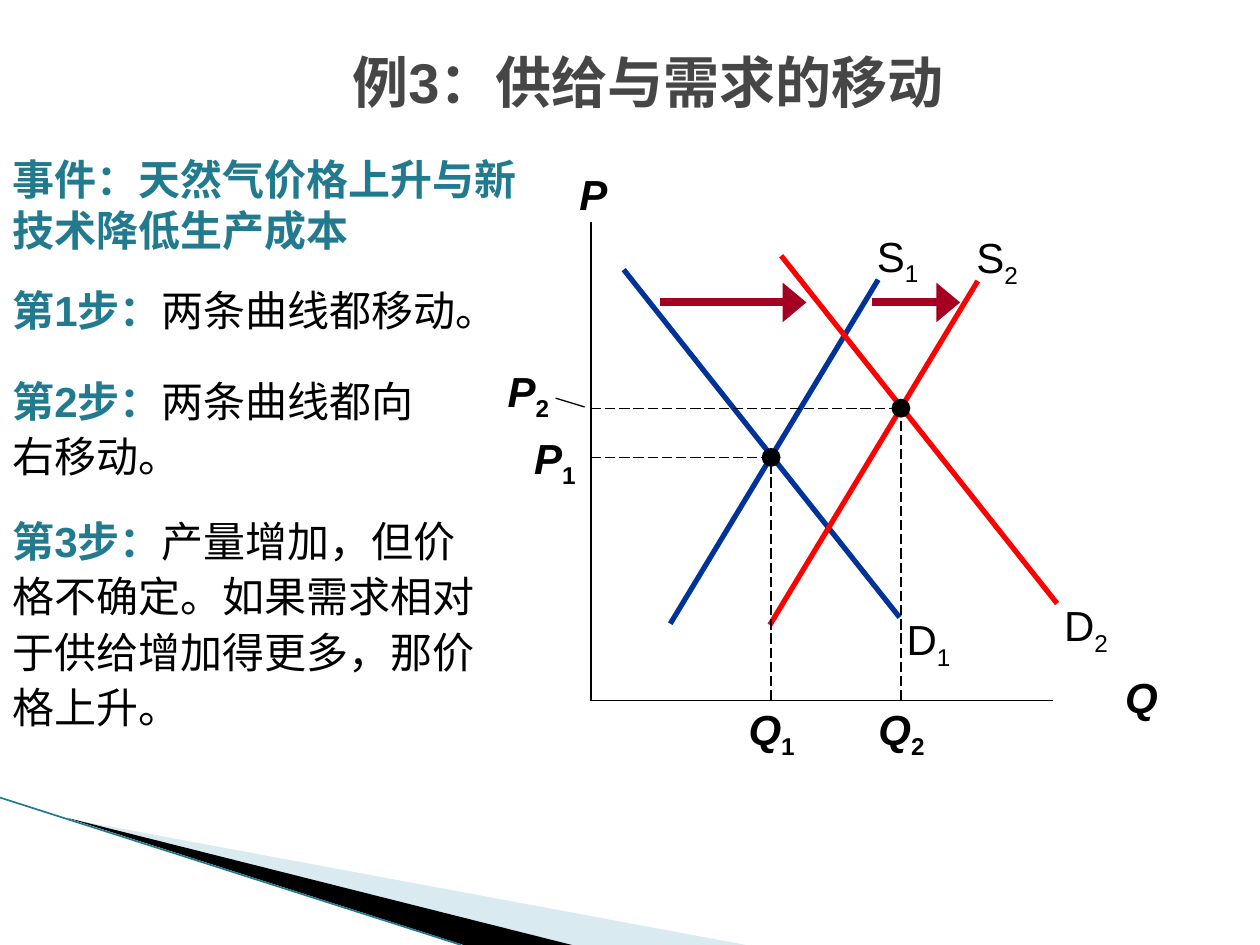
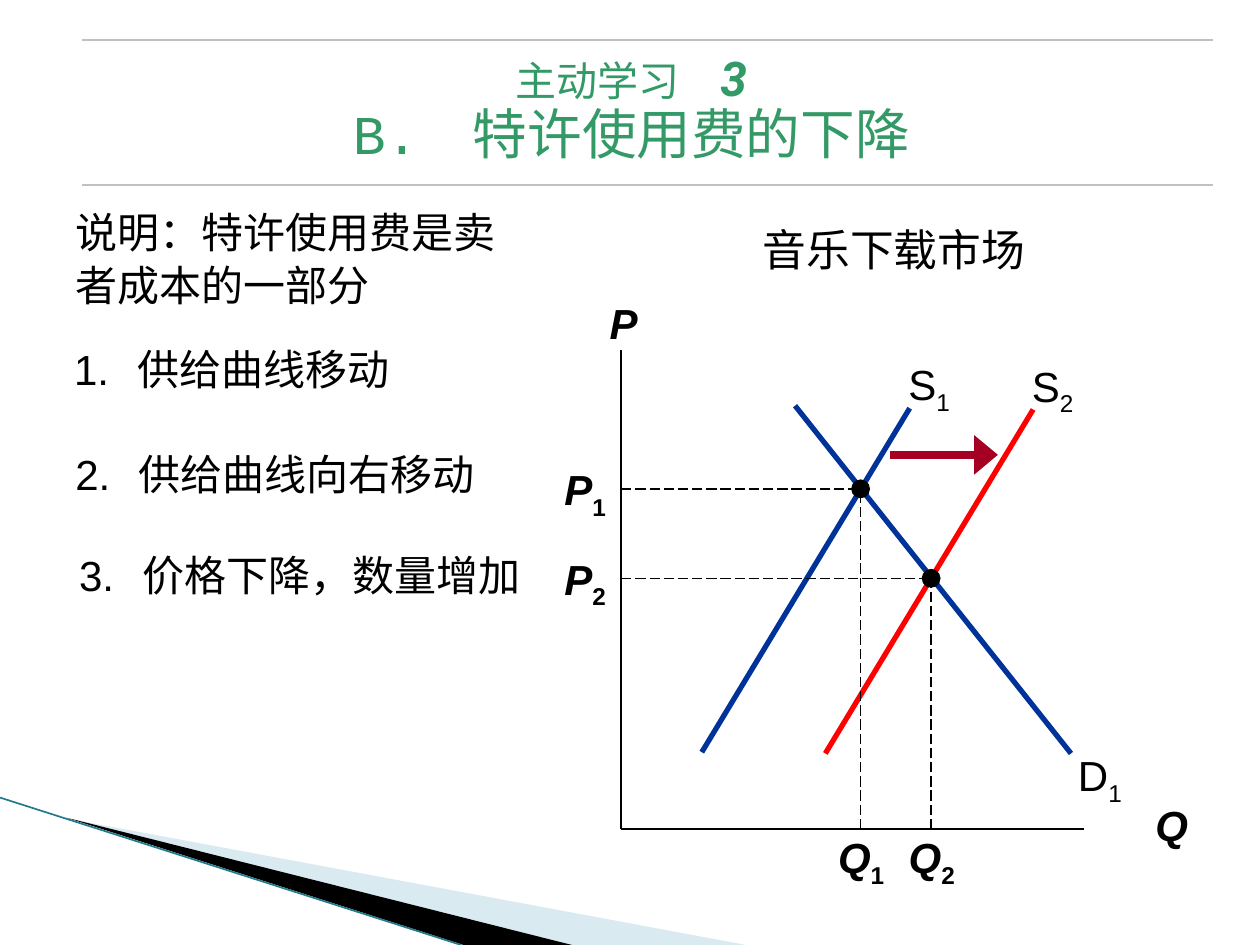
"""Build two slides on shifts of supply and demand."""
from dataclasses import dataclass, field

from lxml import etree
from pptx import Presentation
from pptx.dml.color import RGBColor
from pptx.enum.dml import MSO_LINE
from pptx.enum.shapes import MSO_CONNECTOR, MSO_SHAPE
from pptx.enum.text import MSO_ANCHOR, MSO_AUTO_SIZE, PP_ALIGN
from pptx.oxml.ns import qn
from pptx.util import Inches, Pt

STRAIGHT = MSO_CONNECTOR.STRAIGHT
OVAL = MSO_SHAPE.OVAL
LONG_DASH = MSO_LINE.LONG_DASH
TOP, MIDDLE = MSO_ANCHOR.TOP, MSO_ANCHOR.MIDDLE
LEFT, CENTER = PP_ALIGN.LEFT, PP_ALIGN.CENTER
NO_FIT = MSO_AUTO_SIZE.NONE

BLACK = RGBColor(0x00, 0x00, 0x00)
WHITE = RGBColor(0xFF, 0xFF, 0xFF)
CHARCOAL = RGBColor(0x46, 0x46, 0x46)
TEAL = RGBColor(0x22, 0x7A, 0x8F)
PALE_BLUE = RGBColor(0xA0, 0xCB, 0xDC)
BLUE = RGBColor(0x00, 0x33, 0x99)
RED = RGBColor(0xFF, 0x00, 0x00)
CRIMSON = RGBColor(0xA5, 0x00, 0x21)
GREEN = RGBColor(0x33, 0x99, 0x66)
SILVER = RGBColor(0xC0, 0xC0, 0xC0)

BODY = {"name": "Arial", "size": Pt(24), "bold": False, "italic": False}
STRONG = BODY | {"bold": True}
SYMBOL = STRONG | {"italic": True}
DOT_SIZE = 0.15
CURVE_SHAPES = {
    "D": ((2.19, 2.76), (-0.07, -0.08), 0.6),
    "S": ((1.65, -2.73), (-0.16, -0.44), 0.63),
}


@dataclass
class Span:
    """A run of text with its format."""
    text: str
    style: dict = field(default_factory=lambda: BODY)
    color: RGBColor = BLACK
    subscript: bool = False


@dataclass
class Para:
    """A paragraph of spans with its layout."""
    spans: list[Span]
    align: PP_ALIGN = LEFT
    spacing: float = 1.0
    hanging: float = 0
    right_margin: float = 0


@dataclass
class Curve:
    """A demand or supply curve given by its start."""
    kind: str
    number: str
    x: float
    y: float
    color: RGBColor


@dataclass
class Equilibrium:
    """A crossing point with its price label offset."""
    number: str
    x: float
    y: float
    label_x: float = -0.55
    label_y: float = -0.2


@dataclass
class Market:
    """A price and quantity diagram."""
    x: float
    y: float
    curves: list[Curve]
    points: list[Equilibrium]
    shifts: list[tuple[float, float, float]]


def write(frame, paras: list[Para], anchor=TOP, wrap: bool = True, inset: bool = True) -> None:
    """Fill a text frame with formatted paragraphs."""
    frame.auto_size = NO_FIT
    frame.word_wrap = wrap
    frame.vertical_anchor = anchor
    if not inset:
        for side in ("left", "top", "right", "bottom"):
            setattr(frame, f"margin_{side}", 0)
    for index, item in enumerate(paras):
        para = frame.add_paragraph() if index else frame.paragraphs[0]
        para.alignment, para.line_spacing = item.align, item.spacing
        properties = para._p.get_or_add_pPr()
        if item.hanging:
            properties.set("marL", str(Inches(item.hanging)))
            properties.set("indent", str(-Inches(item.hanging)))
        if item.right_margin:
            properties.set("marR", str(Inches(item.right_margin)))
        for span in item.spans:
            run = para.add_run()
            run.text = span.text
            for name, value in span.style.items():
                setattr(run.font, name, value)
            run.font.color.rgb = span.color
            if span.subscript:
                run._r.get_or_add_rPr().set("baseline", "-25000")


def add_text(page, left: float, top: float, width: float, height: float,
             paras: list[Para], **options):
    """Add a text box and return it."""
    box = page.shapes.add_textbox(*map(Inches, (left, top, width, height)))
    write(box.text_frame, paras, **options)
    return box


def add_label(page, left: float, top: float, width: float, letter: str,
              number: str = "", style: dict = SYMBOL, inset: bool = True) -> None:
    """Add a centred letter with an optional subscript."""
    spans = [Span(letter, style)]
    if number:
        spans.append(Span(number, style | {"italic": False}, subscript=True))
    add_text(page, left, top, width, 0.5 if inset else 0.4,
             [Para(spans, CENTER)], wrap=False, inset=inset)


def add_line(page, start: tuple, end: tuple, color: RGBColor = BLACK,
             width: float = 1, dash=None, arrow: bool = False) -> None:
    """Add a straight line, dashed or with an arrowhead on request."""
    line = page.shapes.add_connector(STRAIGHT, *map(Inches, (*start, *end)))
    line.line.color.rgb = color
    line.line.width = Pt(width)
    if dash:
        line.line.dash_style = dash
    if arrow:
        etree.SubElement(line.line._get_or_add_ln(), qn("a:tailEnd"),
                         type="triangle", w="lg", len="med")
    etree.SubElement(line._element.spPr, qn("a:effectLst"))


def finish_shape(shape, color: RGBColor) -> None:
    """Give a shape a plain fill without line or shadow."""
    shape.shadow.inherit = False
    shape.fill.solid()
    shape.fill.fore_color.rgb = color
    shape.line.fill.background()


def add_band(page, points: list[tuple[float, float]], color: RGBColor, opacity: int = 100) -> None:
    """Add a filled polygon."""
    corners = [(Inches(x), Inches(y)) for x, y in points]
    builder = page.shapes.build_freeform(*corners[0])
    builder.add_line_segments(corners[1:], close=True)
    band = builder.convert_to_shape()
    finish_shape(band, color)
    if opacity < 100:
        tint = band._element.spPr.find(f".//{qn('a:srgbClr')}")
        etree.SubElement(tint, qn("a:alpha"), val=str(opacity * 1000))


def add_page(deck, title_area: tuple, paras: list[Para], anchor):
    """Add a page with the corner bands and its title."""
    page = deck.slides.add_slide(deck.slide_layouts[5])
    add_band(page, [(0.55, 6.5), (5.92, 7.5), (4.53, 7.5)], PALE_BLUE, 40)
    add_band(page, [(0.53, 6.49), (4.54, 7.5), (3.68, 7.5)], BLACK)
    add_line(page, (0, 6.33), (3.66, 7.5), TEAL, 0.95)
    title = page.shapes.title
    for name, value in zip(("left", "top", "width", "height"), title_area):
        setattr(title, name, Inches(value))
    write(title.text_frame, paras, anchor)
    return page


def draw_market(page, market: Market) -> None:
    """Draw axes, curves, equilibria and shift arrows."""
    origin = (market.x, market.y)
    add_line(page, (market.x, market.y - 3.8), origin)
    add_line(page, origin, (market.x + 3.67, market.y))
    add_label(page, market.x - 0.21, market.y - 4.27, 0.46, "P")
    add_label(page, market.x + 4.12, market.y - 0.28, 0.5, "Q")
    for curve in market.curves:
        (run, rise), (shift_x, shift_y), width = CURVE_SHAPES[curve.kind]
        end_x, end_y = curve.x + run, curve.y + rise
        add_line(page, (curve.x, curve.y), (end_x, end_y), curve.color, 3)
        add_label(page, end_x + shift_x, end_y + shift_y, width,
                  curve.kind, curve.number, BODY)
    for point in market.points:
        center = (point.x, point.y)
        for foot in ((market.x, point.y), (point.x, market.y)):
            add_line(page, foot, center, width=0.75, dash=LONG_DASH)
        dot = page.shapes.add_shape(OVAL, Inches(point.x - DOT_SIZE / 2),
                                    Inches(point.y - DOT_SIZE / 2),
                                    Inches(DOT_SIZE), Inches(DOT_SIZE))
        finish_shape(dot, BLACK)
        add_label(page, market.x + point.label_x, point.y + point.label_y, 0.53,
                  "P", point.number, inset=False)
        add_label(page, point.x - 0.26, market.y + 0.02, 0.53,
                  "Q", point.number, inset=False)
    for start, end, height in market.shifts:
        add_line(page, (start, height), (end, height), CRIMSON, 4.5, arrow=True)


def build_example(deck) -> None:
    """Build the page where both curves shift."""
    heading = Span("例3：供给与需求的移动", STRONG | {"size": Pt(32)}, CHARCOAL)
    page = add_page(deck, (1.15, 0.18, 7.99, 0.93), [Para([heading], CENTER)], MIDDLE)
    add_text(page, 0, 1.17, 4.45, 0.99,
             [Para([Span("事件：天然气价格上升与新技术降低生产成本", STRONG, TEAL)])])
    steps = [
        (2.21, 4.29, 0.51, 1.0, "两条曲线都移动。"),
        (2.89, 3.65, 1.08, 1.1, "两条曲线都向右移动。"),
        (4.0, 3.94, 2.49, 1.1,
         "产量增加，但价格不确定。如果需求相对于供给增加得更多，那价格上升。"),
    ]
    for number, (top, width, height, spacing, text) in enumerate(steps, 1):
        spans = [Span(f"第{number}步：", STRONG, TEAL), Span(text)]
        add_text(page, 0, top, width, height, [Para(spans, spacing=spacing)])
    draw_market(page, Market(
        4.69, 5.56,
        [Curve("D", "1", 4.95, 2.14, BLUE), Curve("S", "1", 5.32, 4.95, BLUE),
         Curve("S", "2", 6.11, 4.96, RED), Curve("D", "2", 6.2, 2.03, RED)],
        [Equilibrium("1", 6.12, 3.63), Equilibrium("2", 7.15, 3.24, -0.76, -0.34)],
        [(5.24, 6.4, 2.4), (6.92, 7.62, 2.4)]))
    add_line(page, (4.64, 3.23), (4.41, 3.16), width=0.75)


def build_exercise(deck) -> None:
    """Build the page where supply shifts."""
    light = {"name": "Roboto", "size": Pt(23.4), "bold": False, "italic": False}
    accent = light | {"size": Pt(27.3), "bold": True, "italic": True}
    large = BODY | {"name": "Courier New", "size": Pt(31.2)}
    page = add_page(deck, (0.64, 0.39, 8.98, 1.04), [
        Para([Span("主动学习　", light, GREEN), Span("3", accent, GREEN)],
             CENTER, 0.9, right_margin=0.24),
        Para([Span("B.　特许使用费的下降", large, GREEN)], CENTER, 0.9)], TOP)
    for height in (0.32, 1.47):
        add_line(page, (0.65, height), (9.63, height), SILVER)
    draw_market(page, Market(
        4.93, 6.58,
        [Curve("D", "1", 6.31, 3.22, BLUE), Curve("S", "1", 5.57, 5.97, BLUE),
         Curve("S", "2", 6.55, 5.98, RED)],
        [Equilibrium("1", 6.83, 3.88), Equilibrium("2", 7.39, 4.59)],
        [(7.06, 7.92, 3.61)]))
    caption = add_text(page, 5.59, 1.72, 3.01, 0.53,
                       [Para([Span("音乐下载市场", BODY | {"size": Pt(25)})], CENTER)])
    finish_shape(caption, WHITE)
    add_text(page, 0.5, 1.57, 3.81, 0.95,
             [Para([Span("说明：特许使用费是卖者成本的一部分")], spacing=1.05)])
    answers = [
        (0.49, 2.66, 3.37, "供给曲线移动"),
        (0.5, 3.49, 3.53, "供给曲线向右移动"),
        (0.53, 4.29, 3.74, "价格下降，数量增加"),
    ]
    for number, (left, top, width, text) in enumerate(answers, 1):
        add_text(page, left, top, width, 0.6,
                 [Para([Span(f"{number}.\t{text}")], spacing=1.05, hanging=0.5)])


def main() -> None:
    """Build and save the deck."""
    deck = Presentation()
    deck.slide_width, deck.slide_height = Inches(10), Inches(7.5)
    build_example(deck)
    build_exercise(deck)
    deck.save("out.pptx")


if __name__ == "__main__":
    main()
